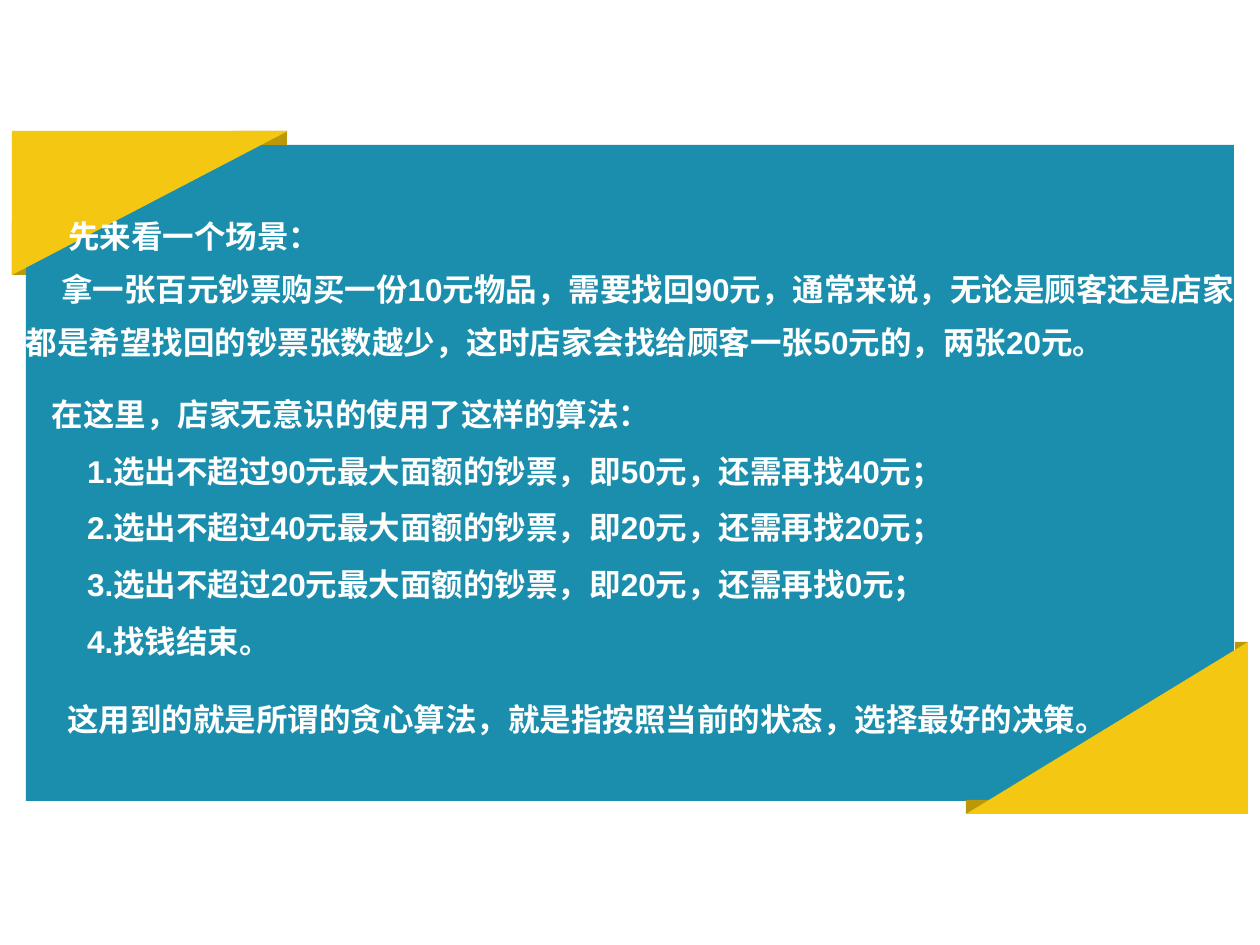
from pptx import Presentation
from pptx.dml.color import RGBColor
from pptx.enum.shapes import MSO_SHAPE as Shape
from pptx.enum.text import MSO_ANCHOR as Anchor, MSO_AUTO_SIZE as AutoSize, PP_ALIGN as Align
from pptx.oxml.ns import qn
from pptx.oxml.xmlchemy import OxmlElement
from pptx.util import Emu, Pt

PX = 914400 // 126
WHITE = RGBColor(0xFF, 0xFF, 0xFF)
BLUE = RGBColor(0x1C, 0x8E, 0xAD)
YELLOW = RGBColor(0xF3, 0xC7, 0x12)
FOLD = RGBColor(0xBA, 0x98, 0x09)


def px(*lengths):
    return [Emu(length * PX) for length in lengths]


class SlideBuilder:
    font_name = "Arial"
    font_size = Pt(18)

    def __init__(self, slide):
        self.slide = slide

    def block(self, box, color, kind=Shape.RECTANGLE, flip=None):
        shape = self.slide.shapes.add_shape(kind, *px(*box))
        shape.shadow.inherit = False
        shape.fill.solid()
        shape.fill.fore_color.rgb = color
        shape.line.fill.background()
        if flip:
            shape._element.spPr.find(qn("a:xfrm")).set(flip, "1")

    def fill_text(self, holder, lines, spacing, insets=(13, 6)):
        frame = holder.text_frame
        frame.text = "\n".join(text for text, _ in lines)
        frame.word_wrap = True
        frame.auto_size = AutoSize.NONE
        frame.vertical_anchor = Anchor.TOP
        frame.margin_left, frame.margin_top = px(*insets)
        frame.margin_right, frame.margin_bottom = px(*insets)
        for paragraph, (_, indent) in zip(frame.paragraphs, lines):
            paragraph.alignment = Align.LEFT
            paragraph.line_spacing = spacing
            paragraph.space_before = Pt(0)
            properties = paragraph._p.get_or_add_pPr()
            properties.set("marL", "0")
            properties.set("indent", str(indent * PX))
            properties.append(OxmlElement("a:buNone"))
            for run in paragraph.runs:
                run.font.name = self.font_name
                run.font.size = self.font_size
                run.font.bold = True
                run.font.color.rgb = WHITE

    def text(self, box, lines, spacing, insets=(13, 6)):
        self.fill_text(self.slide.shapes.add_textbox(*px(*box)), lines, spacing, insets)

    def body(self, box, lines, spacing):
        holder = self.slide.placeholders[1]
        holder.left, holder.top, holder.width, holder.height = px(*box)
        self.slide.shapes._spTree.append(holder._element)
        self.fill_text(holder, lines, spacing)

    def drop_title(self):
        title = self.slide.shapes.title._element
        title.getparent().remove(title)


def main():
    deck = Presentation()
    deck.slide_width, deck.slide_height = px(1260, 945)
    page = SlideBuilder(deck.slides.add_slide(deck.slide_layouts[1]))
    page.drop_title()

    page.block((1235, 642, 13, 10), FOLD)
    page.block((26, 145, 1208, 656), BLUE)
    page.block((233, 131, 54, 14), FOLD)
    page.block((12, 222, 14, 53), FOLD)
    page.block((12, 131, 276, 144), YELLOW, Shape.RIGHT_TRIANGLE, "flipV")
    page.block((966, 800, 26, 14), FOLD)
    page.block((966, 642, 282, 172), YELLOW, Shape.RIGHT_TRIANGLE, "flipH")

    scene = [
        ("先来看一个场景：", 42),
        ("拿一张百元钞票购买一份10元物品，需要找回90元，通常来说，无论是顾客还是店家都是希望找回的钞票张数越少，"
         "这时店家会找给顾客一张50元的，两张20元。", 35),
    ]
    page.text((26, 202, 1208, 600), scene, 1.4, (0, 0))

    steps = [
        "1.选出不超过90元最大面额的钞票，即50元，还需再找40元；",
        "2.选出不超过40元最大面额的钞票，即20元，还需再找20元；",
        "3.选出不超过20元最大面额的钞票，即20元，还需再找0元；",
        "4.找钱结束。",
    ]
    algorithm = [("在这里，店家无意识的使用了这样的算法：", 0)]
    algorithm += [(step, 35) for step in steps]
    page.body((39, 370, 1159, 413), algorithm, 1.5)

    conclusion = [("这用到的就是所谓的贪心算法，就是指按照当前的状态，选择最好的决策。", 0)]
    page.text((54, 694, 1144, 89), conclusion, 1.0)

    deck.save("out.pptx")


if __name__ == "__main__":
    main()
